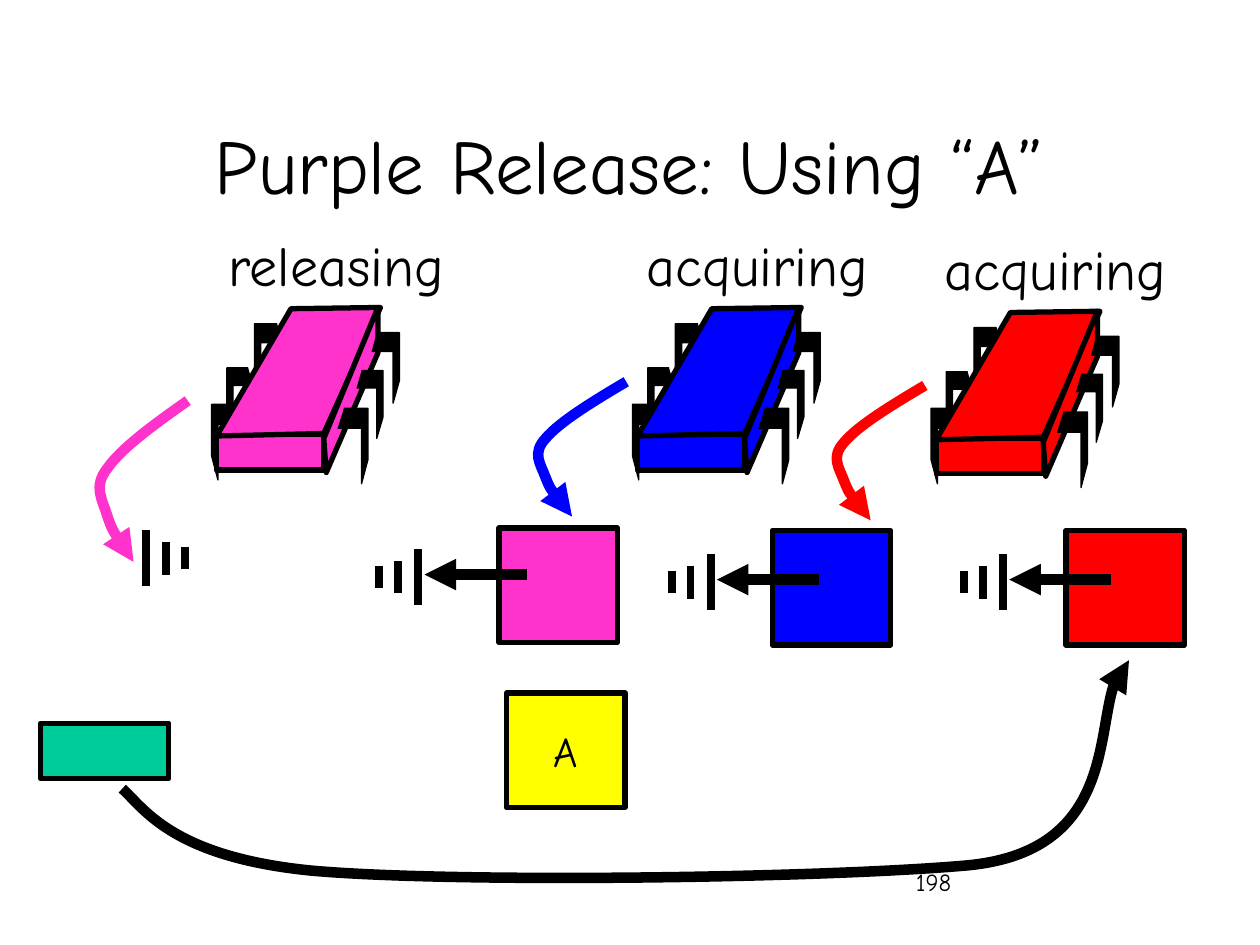
from dataclasses import dataclass

from lxml import etree
from pptx import Presentation
from pptx import util as u
from pptx.dml import color
from pptx.enum import shapes, text
from pptx.oxml import ns

PX = 9144


@dataclass(frozen=True)
class Theme:
    font: str = "Comic Neue"
    ink: str = "000000"
    pink: str = "FF33CC"
    blue: str = "0000FF"
    red: str = "FF0000"
    yellow: str = "FFFF00"
    green: str = "00CC99"
    title: int = 44
    label: int = 32
    node: int = 24
    number: int = 14
    hairline: float = 0.75
    outline: int = 3
    bar: float = 4.5
    arrow: int = 6


theme = Theme()


def paint(part, line, weight, fill=None, arrow=False):
    part.line.color.rgb = color.RGBColor.from_string(line)
    part.line.width = u.Pt(weight)
    if fill:
        part.fill.solid()
        part.fill.fore_color.rgb = color.RGBColor.from_string(fill)
    elif hasattr(part, "fill"):
        part.fill.background()
    properties = part.element.spPr
    if arrow:
        etree.SubElement(properties.find(ns.qn("a:ln")), ns.qn("a:tailEnd"), type="triangle")
    etree.SubElement(properties, ns.qn("a:effectLst"))


def write(frame, words, size, align, anchor, wrap=True):
    frame.word_wrap = wrap
    frame.vertical_anchor = anchor
    paragraph = frame.paragraphs[0]
    paragraph.alignment = align
    run = paragraph.add_run()
    run.text = words
    run.font.name = theme.font
    run.font.size = u.Pt(size)
    run.font.color.rgb = color.RGBColor.from_string(theme.ink)


deck = Presentation()
deck.slide_width, deck.slide_height = 1000 * PX, 750 * PX
slide = deck.slides.add_slide(deck.slide_layouts[6])
RECT = shapes.MSO_SHAPE.RECTANGLE
STRAIGHT = shapes.MSO_CONNECTOR.STRAIGHT
LEFT, CENTER = text.PP_ALIGN.LEFT, text.PP_ALIGN.CENTER
TOP, MIDDLE = text.MSO_ANCHOR.TOP, text.MSO_ANCHOR.MIDDLE

number = slide.shapes.add_textbox(717 * PX, 683 * PX, 208 * PX, 50 * PX)
write(number.text_frame, "198", theme.number, LEFT, TOP)
title = slide.shapes.add_textbox(75 * PX, 67 * PX, 850 * PX, 125 * PX)
write(title.text_frame, "Purple Release: Using “A”", theme.title, CENTER, MIDDLE)

tail = slide.shapes.add_shape(RECT, 32 * PX, 574 * PX, 102 * PX, 44 * PX)
paint(tail, theme.ink, theme.outline, theme.green)

# x, y, width, height, mirrored
legs = [
    (-4, 77, 24, 60, False), (8, 48, 21, 54, False), (30, 13, 22, 56, False),
    (96, 80, 24, 60, True), (111, 50, 21, 54, True), (123, 20, 22, 56, True),
]
leg_outline = [(0.8, 0), (0, 0), (0, 0.68), (0.22, 1), (0.22, 0.26), (1, 0.26)]
chip_faces = [
    [(0, 102), (85, 100), (130, 0), (59, 1)],
    [(128, 0), (128, 36), (87, 131), (85, 104)],
]
threads = [
    ("releasing", theme.pink, 172, 244),
    ("acquiring", theme.blue, 506, 244),
    ("acquiring", theme.red, 743, 247),
]
for state, hue, left, top in threads:
    chip = slide.shapes.add_group_shape().shapes
    front = chip.add_shape(RECT, left * PX, (top + 101) * PX, 85 * PX, 28 * PX)
    paint(front, theme.ink, theme.outline, hue)
    polygons = []
    for x, y, width, height, mirrored in legs:
        corners = [(x + round((1 - a if mirrored else a) * width), y + round(b * height))
                   for a, b in leg_outline]
        polygons.append((corners, False, theme.hairline, theme.ink))
    polygons[3:3] = [(face, True, theme.outline, hue) for face in chip_faces]
    for corners, closed, weight, fill in polygons:
        points = [(left + x, top + y) for x, y in corners]
        pen = chip.build_freeform(*points[0], scale=PX)
        pen.add_line_segments(points[1:], close=closed)
        paint(pen.convert_to_shape(), theme.ink, weight, fill)
    label = chip.add_textbox((left - 8) * PX, (top - 66) * PX, 206 * PX, 64 * PX)
    write(label.text_frame, state, theme.label, CENTER, TOP, wrap=False)

nodes = [
    (402, 550, theme.yellow, "A"),
    (396, 419, theme.pink, ""),
    (613, 421, theme.blue, ""),
    (846, 421, theme.red, ""),
]
for left, top, hue, name in nodes:
    node = slide.shapes.add_shape(RECT, left * PX, top * PX, 94 * PX, 91 * PX)
    paint(node, theme.ink, theme.outline, hue)
    if name:
        write(node.text_frame, name, theme.node, CENTER, MIDDLE, wrap=False)

grounds = [(116, 443, 1), (332, 458, -1), (564, 462, -1), (796, 462, -1)]
for x, y, direction in grounds:
    ground = slide.shapes.add_group_shape().shapes
    for step, half in [(0, 22), (16, 13), (31, 9)]:
        bar_x = (x + direction * step) * PX
        bar = ground.add_connector(STRAIGHT, bar_x, (y - half) * PX, bar_x, (y + half) * PX)
        paint(bar, theme.ink, theme.bar)
    if direction < 0:
        pointer = slide.shapes.add_connector(
            STRAIGHT, (x + 86) * PX, (y - 2) * PX, (x + 5) * PX, (y - 2) * PX)
        paint(pointer, theme.ink, theme.arrow, arrow=True)

hook = [(0, 0), (-27, 16), (-53, 32), (-64, 45), (-75, 57), (-68, 65),
        (-64, 76), (-60, 86), (-52, 97), (-43, 107)]
curves = [(theme.ink, [(97, 626), (114, 641), (136, 680), (247, 691), (359, 701),
                       (650, 697), (766, 687), (882, 677), (870, 536), (896, 524)])]
for hue, x, y, stretch in [(theme.pink, 149, 318, 1.2), (theme.blue, 497, 303, 1),
                           (theme.red, 734, 306, 1)]:
    curves.append((hue, [(x + a, y + round(b * stretch)) for a, b in hook]))
for hue, points in curves:
    pen = slide.shapes.build_freeform(*points[0], scale=PX)
    pen.add_line_segments(points[1:], close=False)
    curve = pen.convert_to_shape()
    outline = curve.element.find(".//" + ns.qn("a:path"))
    segments = outline.findall(ns.qn("a:lnTo"))
    for first in range(0, len(segments), 3):
        bezier = etree.SubElement(outline, ns.qn("a:cubicBezTo"))
        for segment in segments[first:first + 3]:
            bezier.append(segment[0])
            outline.remove(segment)
    paint(curve, hue, theme.arrow, arrow=True)

deck.save("out.pptx")
